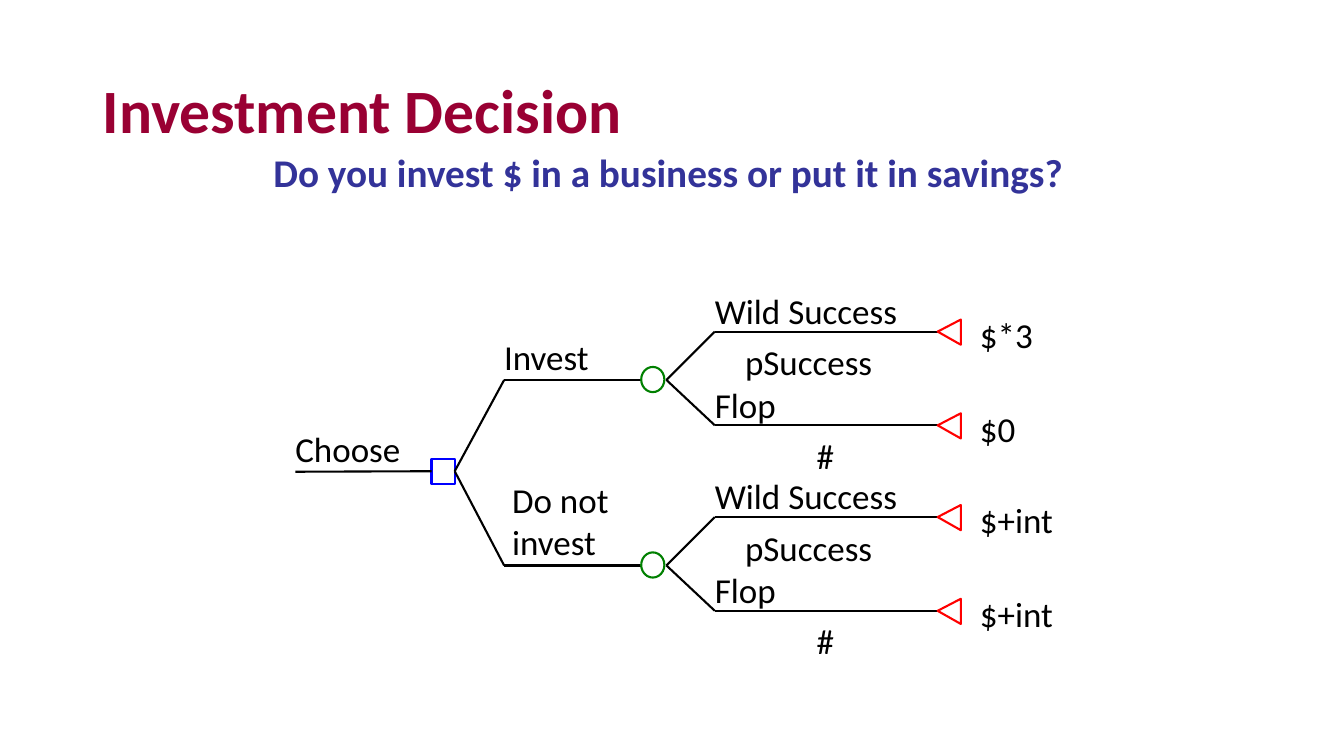
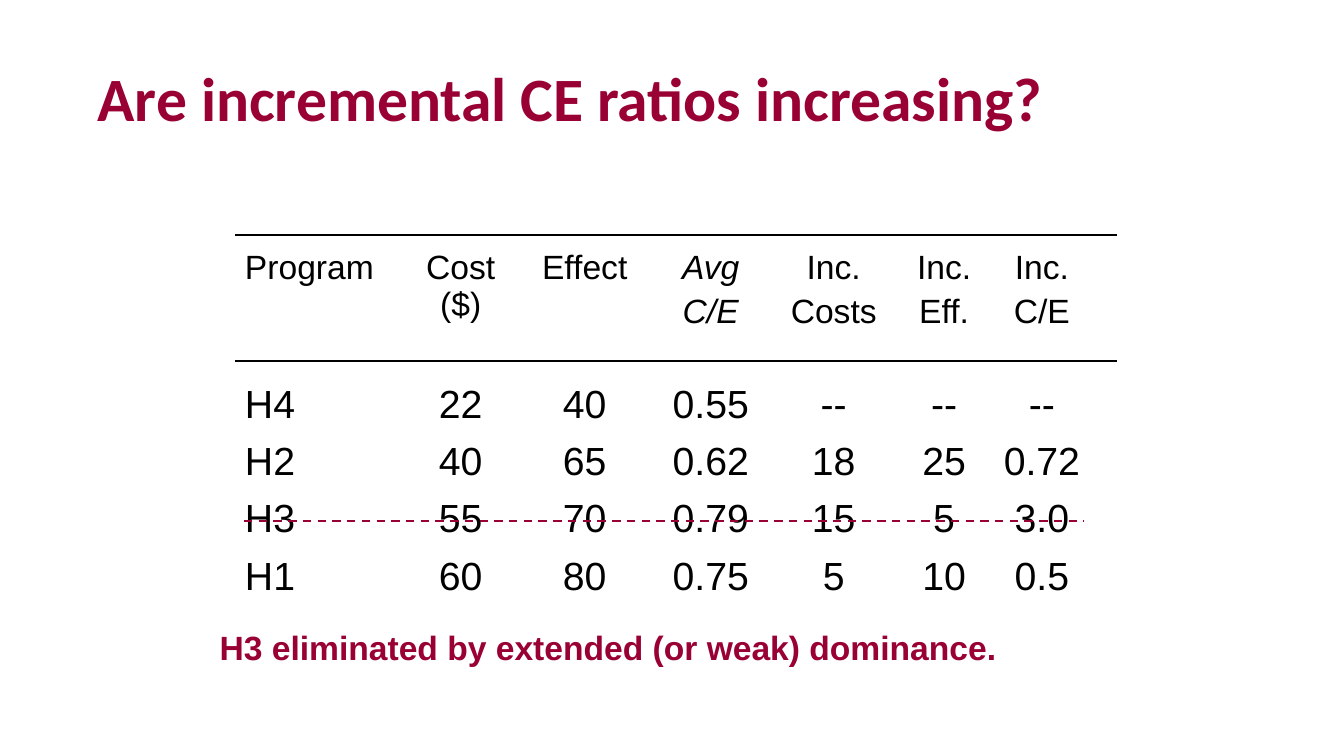
from lxml import etree
from pptx import Presentation
from pptx import util as u
from pptx.dml.color import RGBColor
from pptx.enum import dml, shapes, text
from pptx.oxml.ns import qn

PX = 9144  # 100 px to the inch
COLORS = {"title": "990033", "subtitle": "333399", "ink": "000000", "paper": "FFFFFF",
          "decision": "0000FF", "chance": "008000", "end": "FF0000"}

TREE_TITLE = "Investment Decision"
QUESTION = "Do you invest $ in a business or put it in savings?"
ROOT = ("Choose", 468)
# label lines, label left, line y, payoffs of the two outcomes
BRANCHES = [
    (["Invest"], 500, 377, ["$*3", "$0"]),
    (["Do not", "invest"], 508, 561, ["$+int", "$+int"]),
]
# label, probability, probability left, offset from the branch line
OUTCOMES = [("Wild Success", "pSuccess", 739, -48), ("Flop", "#", 810, 45)]
ROOT_X, DECISION_X, BRANCH_X, CHANCE_X, OUTCOME_X, END_X = 293, 428, 500, 636, 709, 930
NODE_W, NODE_H, LABEL_H = 23, 25, 42

TABLE_TITLE = "Are incremental CE ratios increasing?"
HEADERS = ["Program", "Cost ($)", "Effect", "Avg\nC/E", "Inc.\nCosts", "Inc.\nEff.", "Inc.\nC/E"]
PROGRAMS = [
    ["H4", "22", "40", "0.55", "--", "--", "--"],
    ["H2", "40", "65", "0.62", "18", "25", "0.72"],
    ["H3", "55", "70", "0.79", "15", "5", "3.0"],
    ["H1", "60", "80", "0.75", "5", "10", "0.5"],
    [""] * 7,
]
COLUMN_WIDTHS = [167, 114, 132, 118, 126, 93, 101]
HEADER_HEIGHT, ROW_HEIGHT = 133, 53
ITALIC_COLUMN = 3
RULES = [(233, 1108, 233, "ink", 1, None), (233, 1108, 358, "ink", 1, None),
         (242, 1075, 517, "title", 1.5, dml.MSO_LINE.DASH)]
CONCLUSION = "H3 eliminated by extended (or weak) dominance."


def px(*lengths):
    return [u.Emu(round(length * PX)) for length in lengths]


def rgb(name):
    return RGBColor.from_string(COLORS[name])


def style(para, size, color="ink", font="Calibri", bold=False, italic=False):
    for span in para.runs:
        span.font.size, span.font.name = u.Pt(size), font
        span.font.bold, span.font.italic = bold, italic
        span.font.color.rgb = rgb(color)


def add_text(page, at, lines, size, inset=True, **look):
    box = page.shapes.add_textbox(*px(*at))
    frame = box.text_frame
    frame.word_wrap = True
    if not inset:
        frame.margin_left = frame.margin_top = frame.margin_right = frame.margin_bottom = 0
    frame.text = "\n".join(lines)
    for para in frame.paragraphs:
        style(para, size, **look)
    return frame


def add_title(page, at, title):
    frame = add_text(page, at, [title], 44, color="title", bold=True)
    frame.vertical_anchor = text.MSO_ANCHOR.MIDDLE
    frame.paragraphs[0].line_spacing = 0.9


def add_label(page, left, top, *lines):
    add_text(page, (left, top, 230, LABEL_H * len(lines)), lines, 25, inset=False)


def add_line(page, start, end, color="ink", width=1.5, dash=None):
    line = page.shapes.add_connector(shapes.MSO_CONNECTOR.STRAIGHT, *px(*start, *end))
    line.line.color.rgb = rgb(color)
    line.line.width = u.Pt(width)
    if dash:
        line.line.dash_style = dash
    etree.SubElement(line._element.spPr, qn("a:effectLst"))
    return line


def outline(shape, color):
    shape.shadow.inherit = False
    shape.fill.solid()
    shape.fill.fore_color.rgb = rgb("paper")
    shape.line.color.rgb = rgb(color)
    shape.line.width = u.Pt(1.5)
    return shape


def add_node(page, kind, left, y, color):
    return outline(page.shapes.add_shape(kind, *px(left, y - 13, NODE_W, NODE_H)), color)


def add_end(page, y):
    builder = page.shapes.build_freeform(END_X, y, scale=PX)
    right = END_X + NODE_W
    builder.add_line_segments([(right, y - 12), (right, y - 12 + NODE_H)], close=True)
    outline(builder.convert_to_shape(), "end")


def add_outcomes(page, branch_y, payoffs):
    for (label, chance, chance_x, offset), payoff in zip(OUTCOMES, payoffs):
        y = branch_y + offset
        add_line(page, (CHANCE_X + NODE_W + 2, branch_y), (OUTCOME_X, y))
        add_line(page, (OUTCOME_X, y), (END_X, y))
        add_end(page, y)
        add_label(page, OUTCOME_X, y - 42, label)
        add_label(page, chance_x, y + 9, chance)
        add_label(page, 972, y - 18, payoff)


def build_tree(page):
    add_title(page, (92, 40, 1150, 145), TREE_TITLE)
    label, root_y = ROOT
    root = add_node(page, shapes.MSO_SHAPE.RECTANGLE, DECISION_X, root_y, "decision")
    add_line(page, (ROOT_X, root_y), (DECISION_X, root_y)).end_connect(root, 1)
    add_label(page, ROOT_X, root_y - 44, label)
    for lines, left, y, payoffs in BRANCHES:
        add_line(page, (DECISION_X + NODE_W, root_y), (BRANCH_X, y)).begin_connect(root, 3)
        add_line(page, (BRANCH_X, y), (CHANCE_X, y))
        add_node(page, shapes.MSO_SHAPE.OVAL, CHANCE_X, y, "chance")
        add_label(page, left, y - 2 - LABEL_H * len(lines), *lines)
        add_outcomes(page, y, payoffs)
    question = add_text(page, (252, 142, 821, 57), [QUESTION], 28, color="subtitle", bold=True)
    question.paragraphs[0].alignment = text.PP_ALIGN.CENTER


def fill_cell(cell, words, size, column, italic):
    cell.fill.background()
    cell.text_frame.text = words
    for number, para in enumerate(cell.text_frame.paragraphs):
        para.alignment = text.PP_ALIGN.CENTER if column else text.PP_ALIGN.LEFT
        if number:
            para.space_before = u.Pt(size * 0.2)
        style(para, size, font="Arial", italic=italic)


def build_table(page):
    add_title(page, (87, 42, 1185, 117), TABLE_TITLE)
    rows = [HEADERS] + PROGRAMS
    heights = [HEADER_HEIGHT] + [ROW_HEIGHT] * len(PROGRAMS)
    table = page.shapes.add_table(
        len(rows), len(HEADERS), *px(233, 242, sum(COLUMN_WIDTHS), sum(heights))).table
    table.first_row = table.horz_banding = False
    for column, width in zip(table.columns, COLUMN_WIDTHS):
        column.width = px(width)[0]
    for r, (row, height) in enumerate(zip(rows, heights)):
        table.rows[r].height = px(height)[0]
        for c, words in enumerate(row):
            header = r == 0
            fill_cell(table.cell(r, c), words, 24 if header else 28, c,
                      header and c == ITALIC_COLUMN)
    for left, right, y, color, width, dash in RULES:
        add_line(page, (left, y), (right, y), color, width, dash)
    add_text(page, (208, 617, 850, 50), [CONCLUSION], 24,
             color="title", font="Arial", bold=True)


def main():
    deck = Presentation()
    deck.slide_width, deck.slide_height = px(1333, 750)
    for build in (build_tree, build_table):
        build(deck.slides.add_slide(deck.slide_layouts[6]))
    deck.save("out.pptx")


if __name__ == "__main__":
    main()
